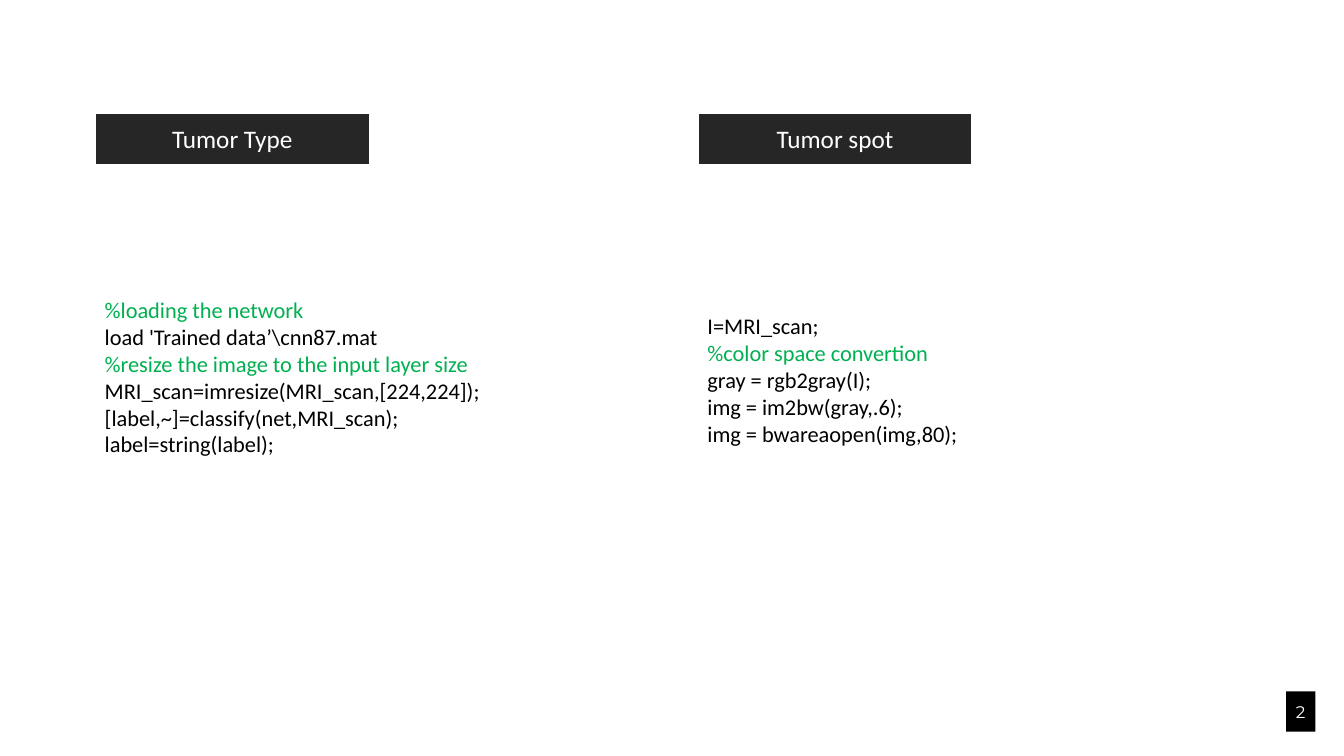
from pptx import Presentation
from pptx.dml.color import RGBColor
from pptx.enum import shapes, text
from pptx.util import Cm, Pt

BLACK, WHITE, DARK, GREEN = "000000", "FFFFFF", "262626", "00B050"
BANNER_TOP, BANNER_WIDTH, BANNER_HEIGHT = 2.84, 6.93, 1.32
CODE_WIDTH = 12.9

COLUMNS = [
    (2.39, "Tumor Type", 7.34, 4.37, [
        "%loading the network",
        "load 'Trained data’\\cnn87.mat",
        "%resize the image to the input layer size",
        "MRI_scan=imresize(MRI_scan,[224,224]);",
        "[label,~]=classify(net,MRI_scan);",
        "label=string(label);",
    ]),
    (17.58, "Tumor spot", 7.75, 3.68, [
        "I=MRI_scan;",
        "%color space convertion",
        "gray = rgb2gray(I);",
        "img = im2bw(gray,.6);",
        "img = bwareaopen(img,80);",
    ]),
]


def colour(value):
    return RGBColor.from_string(value)


def write(para, words, size=16, font="Calibri", color=BLACK,
          align=text.PP_ALIGN.LEFT):
    para.alignment = align
    span = para.add_run()
    span.text = words
    span.font.size = Pt(size)
    span.font.name = font
    span.font.color.rgb = colour(color)


def add_label(page, left, top, width, height, words, fill, line=None, **style):
    box = page.shapes.add_shape(shapes.MSO_SHAPE.RECTANGLE, Cm(left), Cm(top),
                                Cm(width), Cm(height))
    box.shadow.inherit = False
    box.fill.solid()
    box.fill.fore_color.rgb = colour(fill)
    if line:
        box.line.color.rgb = colour(line)
        box.line.width = Pt(1.5)
    else:
        box.line.fill.background()
    frame = box.text_frame
    frame.margin_left = frame.margin_right = Cm(0.25)
    frame.vertical_anchor = text.MSO_ANCHOR.MIDDLE
    write(frame.paragraphs[0], words, color=WHITE, **style)


def add_code(page, left, top, width, height, lines):
    box = page.shapes.add_textbox(Cm(left), Cm(top), Cm(width), Cm(height))
    frame = box.text_frame
    frame.word_wrap = True
    frame.auto_size = text.MSO_AUTO_SIZE.SHAPE_TO_FIT_TEXT
    for index, line in enumerate(lines):
        para = frame.add_paragraph() if index else frame.paragraphs[0]
        write(para, line, color=GREEN if line.startswith("%") else BLACK)


def main():
    deck = Presentation()
    deck.slide_width, deck.slide_height = Cm(33.87), Cm(19.05)
    page = deck.slides.add_slide(deck.slide_layouts[6])
    add_label(page, 32.41, 17.42, 0.74, 1.02, "2", BLACK, size=12,
              font="Montserrat", align=text.PP_ALIGN.RIGHT)
    for left, heading, top, height, lines in COLUMNS:
        add_code(page, left, top, CODE_WIDTH, height, lines)
        add_label(page, left, BANNER_TOP, BANNER_WIDTH, BANNER_HEIGHT, heading,
                  DARK, line=WHITE, size=18, align=text.PP_ALIGN.CENTER)
    deck.save("out.pptx")


main()
